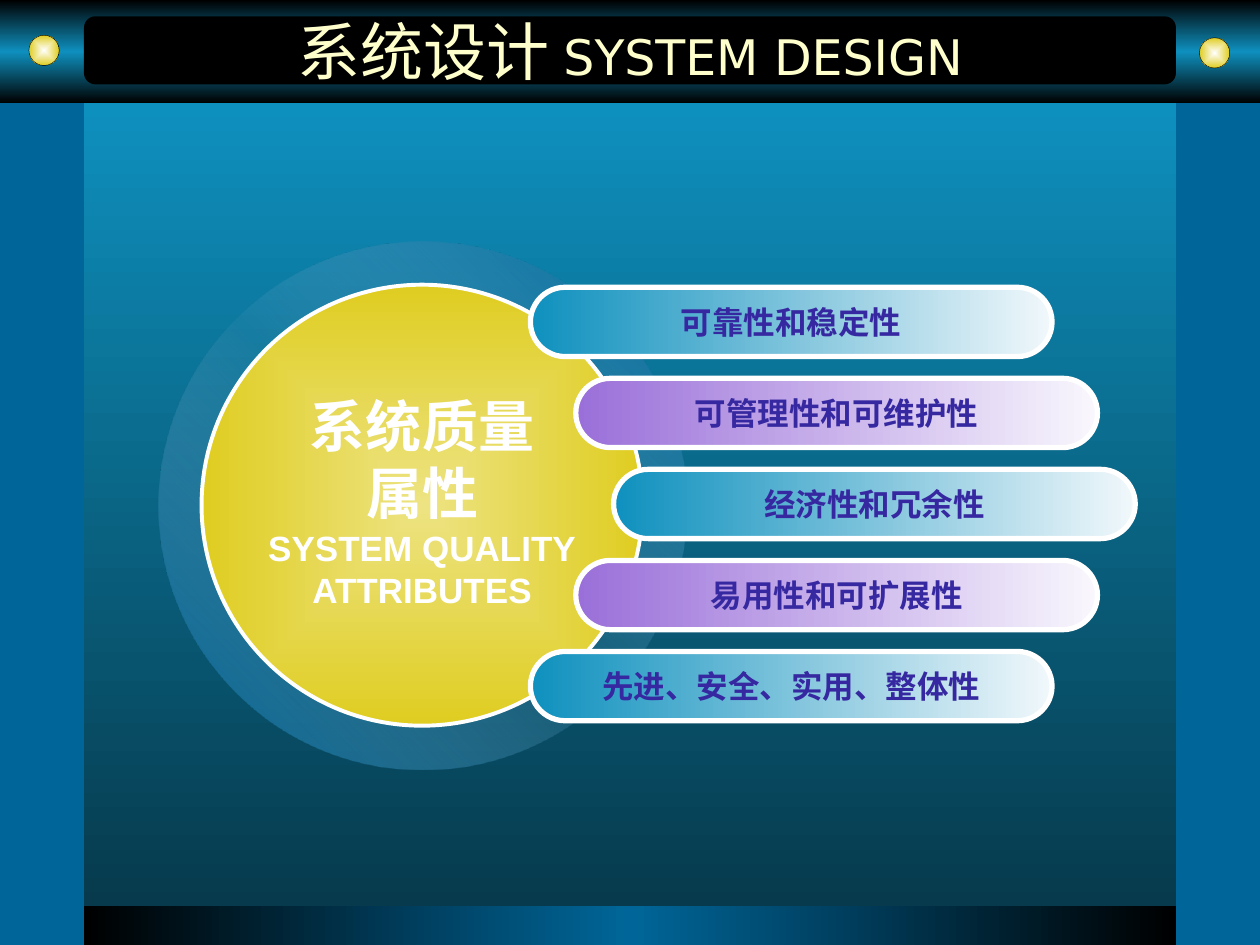
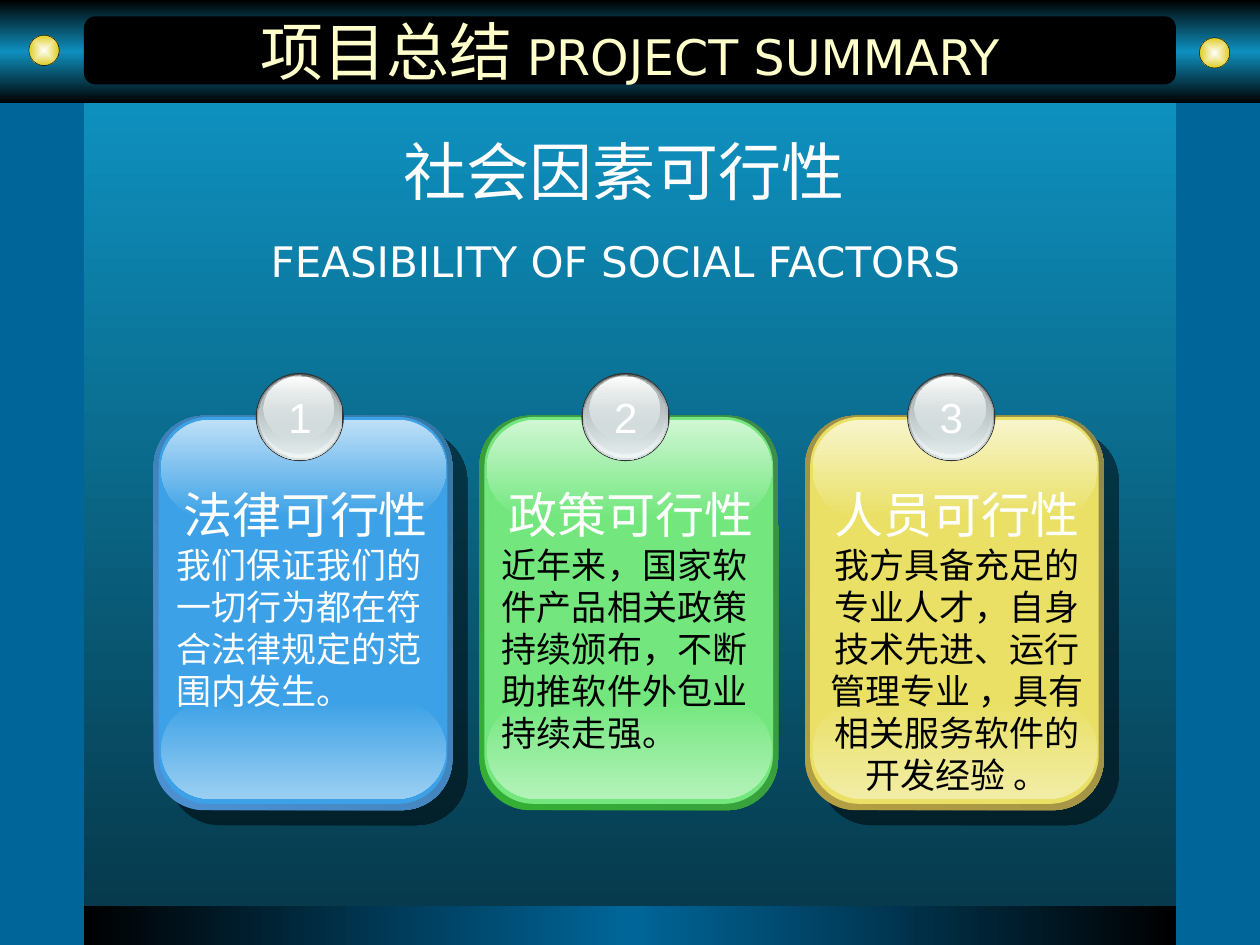
from lxml import etree
from pptx import Presentation
from pptx.dml.color import RGBColor
from pptx.enum import shapes, text
from pptx.oxml.ns import qn
from pptx.util import Inches, Pt

# ---------- Content ----------
TITLES = [("系统设计 ", "SYSTEM DESIGN"), ("项目总结 ", "PROJECT SUMMARY")]
HUB_LINES = [("系统质量", 32), ("属性", 32), ("SYSTEM QUALITY", 20), ("ATTRIBUTES", 20)]
QUALITIES = [  # text, left edge, colour scheme
    ("可靠性和稳定性", 4.21, "teal"),
    ("可管理性和可维护性", 4.57, "violet"),
    ("经济性和冗余性", 4.87, "teal"),
    ("易用性和可扩展性", 4.57, "violet"),
    ("先进、安全、实用、整体性", 4.21, "teal"),
]
SUMMARY_HEADING = "社会因素可行性"
SUMMARY_SUBHEADING = "FEASIBILITY OF SOCIAL FACTORS"
CARDS = [
    dict(heading="法律可行性", body="我们保证我们的一切行为都在符合法律规定的范围内发生。",
         ink="white", align="LEFT", shadow=True, rim=("4E91D4", "3477A4"),
         face="3CA1E6", top="BEE0F7", bottom="9BCFF2"),
    dict(heading="政策可行性", body="近年来，国家软件产品相关政策持续颁布，不断助推软件外包业持续走强。",
         ink="black", align="LEFT", shadow=False, rim=("34B034", "3F8B4A"),
         face="73E77E", top="D0F7D4", bottom="B3F2B9"),
    dict(heading="人员可行性",
         body="我方具备充足的专业人才，自身技术先进、运行管理专业 ，具有相关服务软件的开发经验 。",
         ink="black", align="CENTER", shadow=True, rim=("B59F43", "8F8849"),
         face="E9E065", top="F8F5CC", bottom="F2EDA6"),
]

# ---------- Shared style ----------
COLORS = {
    "white": "FFFFFF", "black": "000000", "title": "FFFFCC", "blue": "006699",
    "teal": "0E90BE", "teal_pale": "F1F8FB", "teal_dark": "063A4C",
    "violet": "9A6FD9", "violet_pale": "F9F7FD", "label": "3628A0", "ring": "64A2C1",
    "gold": "DFCD21", "gold_pale": "EDE382",
    "steel": "D6E1E2", "steel_dark": "636869", "steel_mid": "AAB2B3",
    "steel_pale": "F1F5F5", "badge_edge": "333333",
}
SANS, ARIAL, CHINESE = "DejaVu Sans", "Arial", "Noto Sans CJK SC"
WIDTH, HEIGHT = 10, 7.5
MARGIN, BAND = WIDTH / 15, 0.82
PANEL = WIDTH - 2 * MARGIN
FOOTER_TOP = 7.18
SHAPE = shapes.MSO_SHAPE
CENTER = text.PP_ALIGN.CENTER

# Badge layers: left and top offset, width, height, fill stops
BADGE_LAYERS = [
    (0, 0, 0.7, 0.7, ["badge_edge"]),
    (0.01, 0.01, 0.68, 0.68, ["steel_dark", "steel"]),
    (0.02, 0.01, 0.66, 0.66, [("steel", 0), "steel_pale"]),
    (0.03, 0.02, 0.63, 0.62, ["steel_mid", ("steel", 48)]),
    (0.06, 0.03, 0.56, 0.5, ["white", ("steel", 38)]),
]


def hex_of(color):
    return COLORS.get(color, color)


def rgb(color):
    return RGBColor.from_string(hex_of(color))


def add_node(parent, tag, **attributes):
    return etree.SubElement(parent, qn(tag), {k: str(v) for k, v in attributes.items()})


def add_color(parent, color, alpha=100):
    node = add_node(parent, "a:srgbClr", val=hex_of(color))
    if alpha < 100:
        add_node(node, "a:alpha", val=alpha * 1000)


def paint(shape, stops, angle):
    """One stop is a solid fill; more are a gradient, from the centre if angle is None."""
    if len(stops) == 1:
        shape.fill.solid()
        shape.fill.fore_color.rgb = rgb(stops[0])
        return
    shape.fill.gradient()
    gradient = shape.element.spPr.find(qn("a:gradFill"))
    for child in list(gradient):
        gradient.remove(child)
    stop_list = add_node(gradient, "a:gsLst")
    for index, stop in enumerate(stops):
        color, alpha = stop if isinstance(stop, tuple) else (stop, 100)
        position = index * 100000 // (len(stops) - 1)
        add_color(add_node(stop_list, "a:gs", pos=position), color, alpha)
    if angle is None:
        center = add_node(gradient, "a:path", path="rect")
        add_node(center, "a:fillToRect", l=50000, t=50000, r=50000, b=50000)
    else:
        add_node(gradient, "a:lin", ang=angle * 60000, scaled=0)


def add_shadow(effects, distance, alpha=100):
    shadow = add_node(effects, "a:outerShdw", blurRad=0, dist=Pt(distance), dir=45 * 60000,
                      algn="ctr", rotWithShape=0)
    add_color(shadow, "black", alpha)


def add_figure(slide, kind, box, stops, angle=90, line=None, radius=None):
    shape = slide.shapes.add_shape(kind, *map(Inches, box))
    shape.shadow.inherit = False
    paint(shape, stops, angle)
    if line:
        shape.line.color.rgb = rgb(line[0])
        shape.line.width = Pt(line[1])
    else:
        shape.line.fill.background()
    if radius is not None:
        shape.adjustments[0] = radius
    return shape


def place(shape, box):
    shape.left, shape.top, shape.width, shape.height = map(Inches, box)


def style_run(run, size, color, font=ARIAL, bold=False):
    run.font.size, run.font.bold, run.font.name = Pt(size), bold, font
    run.font.color.rgb = rgb(color)
    add_node(run.font._element, "a:ea", typeface=CHINESE)


def write(frame, lines, wrap=True):
    """Each line is (text, size, color, font, bold, alignment)."""
    frame.word_wrap = wrap
    frame.text = "\n".join(line[0] for line in lines)
    for paragraph, (_, *style, alignment) in zip(frame.paragraphs, lines):
        paragraph.alignment = alignment
        style_run(paragraph.runs[0], *style)


def add_text(slide, box, lines, wrap=True):
    text_box = slide.shapes.add_textbox(*map(Inches, box))
    write(text_box.text_frame, lines, wrap)
    return text_box.text_frame


def set_title(slide, parts):
    title = slide.shapes.title
    place(title, (MARGIN, 0.15, PANEL, 0.5))
    frame = title.text_frame
    frame.auto_size = text.MSO_AUTO_SIZE.NONE
    frame.vertical_anchor = text.MSO_ANCHOR.MIDDLE
    paragraph = frame.paragraphs[0]
    paragraph.alignment = CENTER
    for part, size in zip(parts, (36, 28)):
        run = paragraph.add_run()
        run.text = part
        style_run(run, size, "title", SANS)


def build_master(master, slide):
    """Draw the bands, panel and studs, then move them to the master."""
    master.background.fill.solid()
    master.background.fill.fore_color.rgb = rgb("blue")
    rectangle, rounded, oval = SHAPE.RECTANGLE, SHAPE.ROUNDED_RECTANGLE, SHAPE.OVAL
    figures = [
        add_figure(slide, rectangle, (0, 0, WIDTH, BAND), ["black", "teal", "black"]),
        add_figure(slide, rounded, (MARGIN, 0.13, PANEL, 0.54), ["black"]),
        add_figure(slide, rectangle, (MARGIN, FOOTER_TOP, PANEL, HEIGHT - FOOTER_TOP),
                   ["black", "blue", "black"], 0),
        add_figure(slide, rectangle, (MARGIN, BAND, PANEL, FOOTER_TOP - BAND + 0.01),
                   ["teal", "teal_dark"]),
    ]
    for left, top in ((0.23, 0.28), (9.52, 0.3)):
        figures.append(add_figure(slide, oval, (left, top, 0.24, 0.24),
                                  ["white", "gold"], None, ("black", 0.25)))
    for figure in figures:
        master.shapes.element.append(figure.element)


# ---------- Slide 1: quality hub ----------
def build_qualities(slide):
    center_x, center_y = 3.35, 4.01
    ring, disc = 4.19, 3.5

    def around(size):
        return center_x - size / 2, center_y - size / 2, size, size

    add_figure(slide, SHAPE.DONUT, around(ring), ["blue", ("ring", 12), "blue"], 315,
               radius=0.09)
    add_figure(slide, SHAPE.OVAL, around(disc), ["gold_pale", "gold"], None, ("white", 2.25))

    # Bars
    for row, (label, left, scheme) in enumerate(QUALITIES):
        bar = add_figure(slide, SHAPE.ROUNDED_RECTANGLE, (left, 2.28 + row * 0.7225, 4.14, 0.55),
                         [scheme, scheme + "_pale"], 0, ("white", 3), 0.5)
        write(bar.text_frame, [(label, 18, "label", ARIAL, True, CENTER)], wrap=False)
        bar.text_frame.vertical_anchor = text.MSO_ANCHOR.MIDDLE

    # Hub label with a hard text shadow
    frame = add_text(slide, (center_x - 1.36, 3.06, 2.72, 1.84),
                     [(line, size, "white", ARIAL, True, CENTER) for line, size in HUB_LINES],
                     wrap=False)
    for paragraph in frame.paragraphs:
        latin = paragraph.runs[0].font._element.find(qn("a:latin"))
        effects = etree.Element(qn("a:effectLst"))
        add_shadow(effects, 2)
        latin.addprevious(effects)


# ---------- Slide 2: feasibility cards ----------
def build_heading(slide):
    body = slide.placeholders[1]
    place(body, (MARGIN, 1, 8.58, 5.92))
    frame = body.text_frame
    frame.auto_size = text.MSO_AUTO_SIZE.NONE
    frame.text = SUMMARY_HEADING + "\n" + SUMMARY_SUBHEADING
    for paragraph, size, before in zip(frame.paragraphs, (36, 24), (0, 8)):
        paragraph.alignment = CENTER
        paragraph.space_before = Pt(before)
        properties = paragraph._p.get_or_add_pPr()
        properties.set("marL", "0")
        properties.set("indent", "0")
        add_node(properties, "a:buNone")
        style_run(paragraph.runs[0], size, "white", SANS)
    spacer = frame.paragraphs[1].add_run()
    spacer.text = " "
    style_run(spacer, 32, "white", SANS)


def build_card(slide, index, card):
    left, top = 1.22 + index * 2.585, 3.3
    rounded = SHAPE.ROUNDED_RECTANGLE

    # Rim, face and the two sheens
    rim = add_figure(slide, rounded, (left, top, 2.37, 3.13), card["rim"], 315, radius=0.17)
    if card["shadow"]:
        add_shadow(rim.element.spPr.find(qn("a:effectLst")), 12.1, 50)
    add_figure(slide, rounded, (left + 0.04, top + 0.01, 2.29, 3.07), [card["face"]], radius=0.17)
    for offset, stops in ((2.26, [card["face"], card["bottom"]]),
                          (0.03, [card["top"], card["face"]])):
        add_figure(slide, rounded, (left + 0.06, top + offset, 2.26, 0.78), stops, radius=0.5)

    # Numbered badge
    for x, y, width, height, stops in BADGE_LAYERS:
        add_figure(slide, SHAPE.OVAL, (left + 0.81 + x, 2.96 + y, width, height), stops)
    add_text(slide, (left + 0.97, 3.06, 0.38, 0.5),
             [(str(index + 1), 24, "white", ARIAL, False, CENTER)], wrap=False)

    # Text
    add_text(slide, (left + 0.08, 3.8, 2.25, 2.57),
             [(card["heading"], 28, "white", SANS, False, CENTER),
              (card["body"], 20, card["ink"], SANS, False, text.PP_ALIGN[card["align"]])])


def main():
    presentation = Presentation()
    presentation.slide_width, presentation.slide_height = Inches(WIDTH), Inches(HEIGHT)
    layouts = presentation.slide_layouts
    design = slide_design, slide_summary = [presentation.slides.add_slide(layouts[i])
                                            for i in (5, 1)]
    build_master(presentation.slide_master, slide_design)
    for slide, parts in zip(design, TITLES):
        set_title(slide, parts)
    build_qualities(slide_design)
    build_heading(slide_summary)
    for index, card in enumerate(CARDS):
        build_card(slide_summary, index, card)
    presentation.save("out.pptx")


if __name__ == "__main__":
    main()
